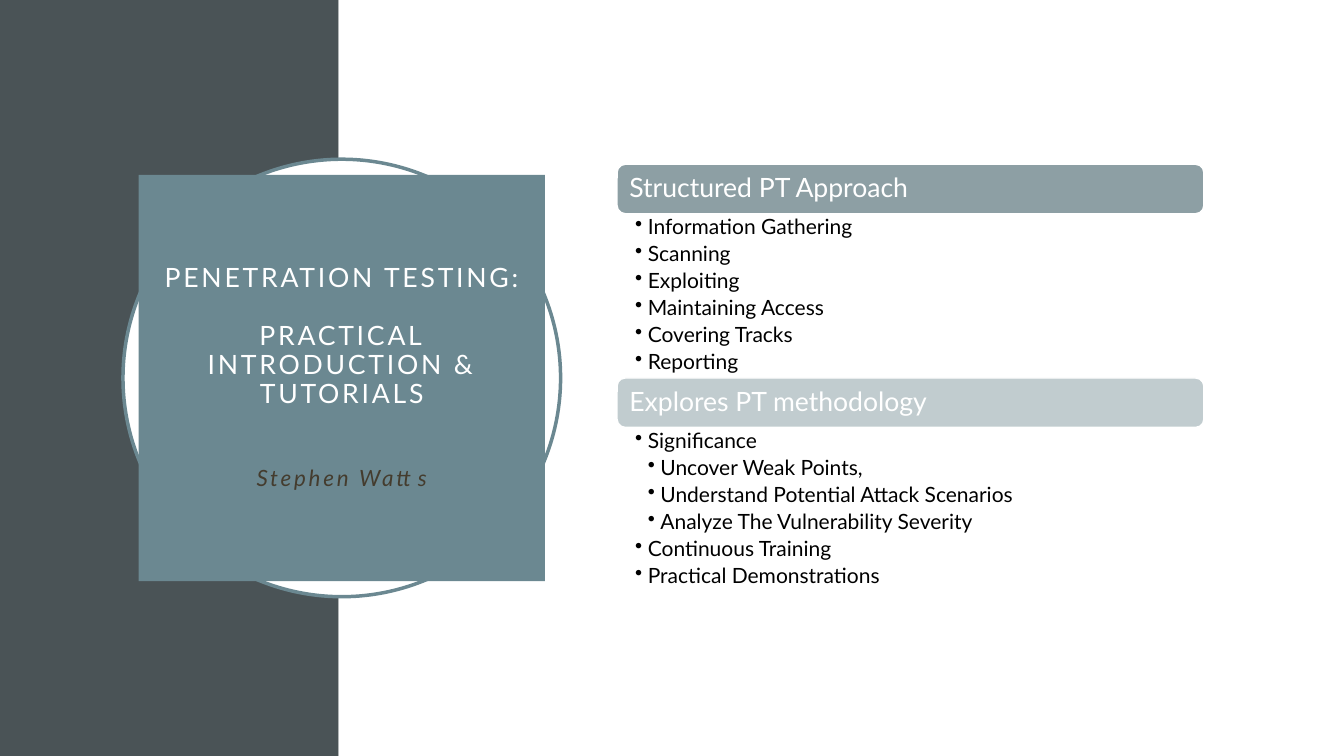
from pptx import Presentation
from pptx.dml.color import RGBColor
from pptx.enum.shapes import MSO_SHAPE
from pptx.enum.text import MSO_ANCHOR, MSO_AUTO_SIZE, PP_ALIGN
from pptx.oxml import parse_xml
from pptx.oxml.ns import nsdecls
from pptx.util import Inches, Pt

RECTANGLE, OVAL, ROUNDED = MSO_SHAPE.RECTANGLE, MSO_SHAPE.OVAL, MSO_SHAPE.ROUNDED_RECTANGLE
MIDDLE, TOP = MSO_ANCHOR.MIDDLE, MSO_ANCHOR.TOP
LEFT, CENTER = PP_ALIGN.LEFT, PP_ALIGN.CENTER
NO_AUTOFIT = MSO_AUTO_SIZE.NONE

FONT = "Lato"
SLATE, TEAL, WHITE, BLACK, BROWN = "4A5356", "6B8891", "FFFFFF", "000000", "443C2E"

TITLE_LINES = [
    ("PENETRATION TESTING:", dict(size=19, color=WHITE)),
    ("PRACTICAL INTRODUCTION & TUTORIALS", dict(size=19, color=WHITE, before=20.7)),
    ("Stephen Watts", dict(size=16, color=BROWN, italic=True, before=41.4)),
]
SECTIONS = [
    ("Structured PT Approach", "8D9FA4", [
        (1, "Information Gathering"),
        (1, "Scanning"),
        (1, "Exploiting"),
        (1, "Maintaining Access"),
        (1, "Covering Tracks"),
        (1, "Reporting"),
    ]),
    ("Explores PT methodology", "C1CCCF", [
        (1, "Significance"),
        (2, "Uncover Weak Points,"),
        (2, "Understand Potential Attack Scenarios"),
        (2, "Analyze The Vulnerability Severity"),
        (1, "Continuous Training"),
        (1, "Practical Demonstrations"),
    ]),
]

SLIDE_W, SLIDE_H = 13.33, 7.5
PANEL_W = 3.36
CENTER_X, CENTER_Y = 3.39, 3.75
RING_SIZE, TITLE_SIZE = 4.34, 4.03
LIST_X, LIST_Y, LIST_W = 6.12, 1.63, 5.82
HEADER_H, BODY_H = 0.49, 1.63
BULLET_INDENT = 0.125


def rgb(color):
    return RGBColor.from_string(color)


def box(left, top, width, height):
    return [Inches(value) for value in (left, top, width, height)]


def centered_square(size):
    return box(CENTER_X - size / 2, CENTER_Y - size / 2, size, size)


def add_block(preset, bounds, fill, line=None, weight=1):
    block = slide.shapes.add_shape(preset, *bounds)
    block.shadow.inherit = False
    block.fill.solid()
    block.fill.fore_color.rgb = rgb(fill)
    if line:
        block.line.color.rgb = rgb(line)
        block.line.width = Pt(weight)
    else:
        block.line.fill.background()
    return block


def set_frame(frame, anchor, insets):
    frame.word_wrap = True
    frame.auto_size = NO_AUTOFIT
    frame.vertical_anchor = anchor
    frame.margin_left, frame.margin_top, frame.margin_right, frame.margin_bottom = box(*insets)


def write(frame, text, size, color, align=LEFT, italic=False, before=0, after=0,
          tracking=0, level=0):
    started = bool(frame.paragraphs[0].runs)
    paragraph = frame.add_paragraph() if started else frame.paragraphs[0]
    paragraph.alignment = align
    paragraph.line_spacing = 0.9
    paragraph.space_before, paragraph.space_after = Pt(before), Pt(after)
    run = paragraph.add_run()
    run.text = text
    font = run.font
    font.name, font.size, font.bold, font.italic = FONT, Pt(size), False, italic
    font.color.rgb = rgb(color)
    if tracking:
        run._r.get_or_add_rPr().set("spc", str(tracking * 100))
    if level:
        paragraph.level = level
        properties = paragraph._p.get_or_add_pPr()
        properties.set("marL", str(Inches(BULLET_INDENT * level)))
        properties.set("indent", str(-Inches(BULLET_INDENT)))
        properties.append(parse_xml(f'<a:buChar {nsdecls("a")} char="\u2022"/>'))


deck = Presentation()
deck.slide_width, deck.slide_height = Inches(SLIDE_W), Inches(SLIDE_H)
slide = deck.slides.add_slide(deck.slide_layouts[5])

add_block(RECTANGLE, box(0, 0, PANEL_W, SLIDE_H), SLATE)
add_block(RECTANGLE, box(PANEL_W, 0, SLIDE_W - PANEL_W, SLIDE_H), WHITE)
add_block(OVAL, centered_square(RING_SIZE), WHITE, TEAL, 2.5)

title = slide.shapes.title
slide.shapes._spTree.append(title._element)
title.left, title.top, title.width, title.height = centered_square(TITLE_SIZE)
title.fill.solid()
title.fill.fore_color.rgb = rgb(TEAL)
set_frame(title.text_frame, MIDDLE, (0.2, 0.2, 0.2, 0.2))
for line, style in TITLE_LINES:
    write(title.text_frame, line, align=CENTER, tracking=2, **style)

for index, (heading, shade, points) in enumerate(SECTIONS):
    top = LIST_Y + index * (HEADER_H + BODY_H)
    header = add_block(ROUNDED, box(LIST_X, top, LIST_W, HEADER_H), shade, WHITE)
    set_frame(header.text_frame, MIDDLE, (0.1, 0.1, 0.1, 0.1))
    write(header.text_frame, heading, 19, WHITE)

    body = slide.shapes.add_textbox(*box(LIST_X, top + HEADER_H, LIST_W, BODY_H))
    set_frame(body.text_frame, TOP, (0.18, 0.03, 0.15, 0.03))
    for level, point in points:
        write(body.text_frame, point, 15, BLACK, after=3, level=level)

deck.save("out.pptx")
